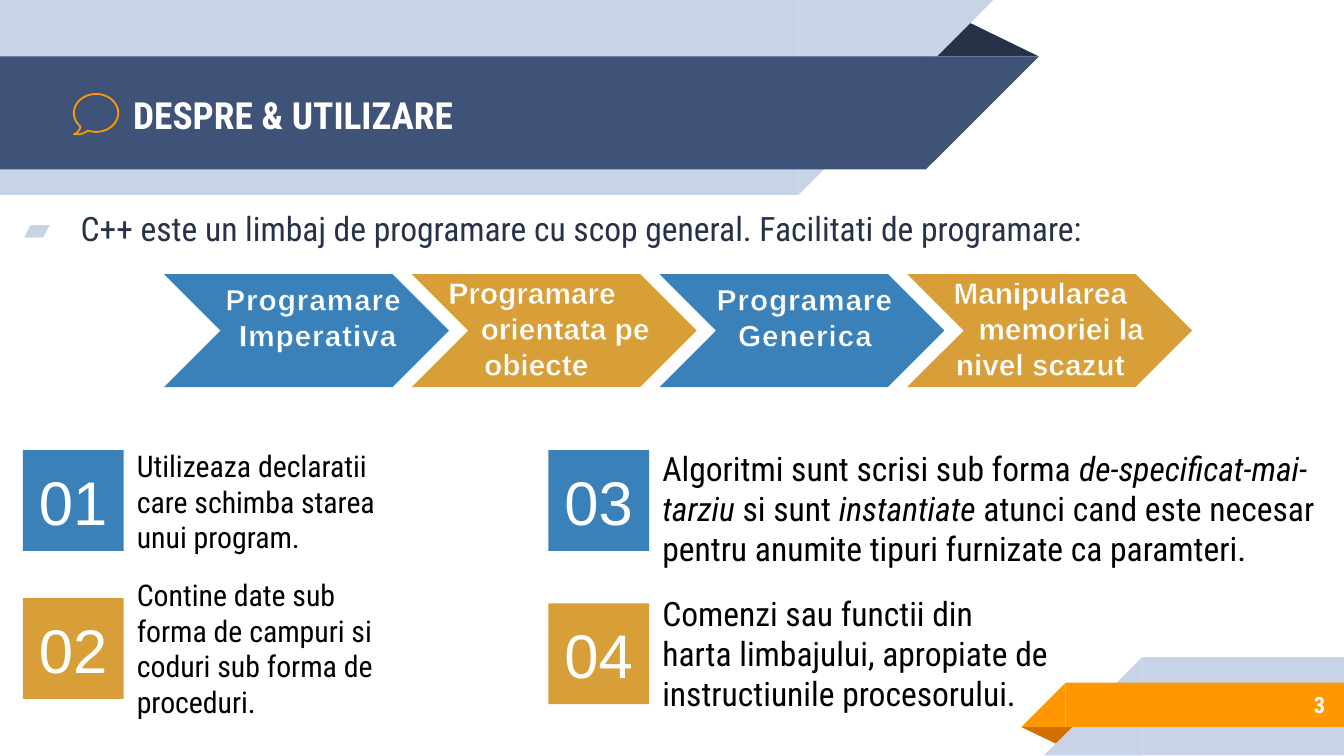
from dataclasses import dataclass
from math import cos, radians, sin

from lxml.etree import SubElement
from pptx import Presentation
from pptx.dml.color import RGBColor
from pptx.enum.shapes import MSO_SHAPE as Kind
from pptx.enum.text import MSO_ANCHOR as Anchor, MSO_AUTO_SIZE as Fit, PP_ALIGN as Align
from pptx.oxml.ns import qn
from pptx.util import Inches, Pt


@dataclass(frozen=True)
class Theme:
    navy: str = "3F5378"
    dark: str = "263248"
    pale: str = "C7D3E6"
    orange: str = "FF9800"
    rust: str = "D26F00"
    blue: str = "3A81BA"
    gold: str = "D89F39"
    white: str = "FFFFFF"
    black: str = "000000"
    sans: str = "Arial"
    slim: str = "Roboto Condensed"
    small: int = 12
    note: int = 16
    body: int = 18
    title: int = 20
    digit: int = 33


T = Theme()


def apply(target, values):
    for name, value in values.items():
        setattr(target, name, value)


def place(shape, left, top, width, height):
    apply(shape, dict(left=Inches(left), top=Inches(top),
                      width=Inches(width), height=Inches(height)))


def draw(slide, kind, box, color, turn=0, flip=False):
    shape = slide.shapes.add_shape(kind, *map(Inches, box))
    shape.shadow.inherit = False
    shape.fill.solid()
    shape.fill.fore_color.rgb = RGBColor.from_string(color)
    shape.line.fill.background()
    shape.rotation = turn
    if flip:
        shape._element.spPr.find(qn("a:xfrm")).set("flipH", "1")
    return shape


def write(shape, lines, color, size, face=T.slim, bold=False, align=Align.LEFT,
          anchor=Anchor.TOP, fit=Fit.NONE, wrap=True, pad=None, before=0):
    """Fill a shape with paragraphs; text between asterisks is italic."""
    frame = shape.text_frame
    apply(frame, dict(word_wrap=wrap, auto_size=fit, vertical_anchor=anchor))
    if pad is not None:
        sides = ("margin_left", "margin_top", "margin_right", "margin_bottom")
        apply(frame, dict.fromkeys(sides, Inches(pad)))
    for index, line in enumerate(lines):
        para = frame.add_paragraph() if index else frame.paragraphs[0]
        apply(para, dict(alignment=align, space_before=Pt(before)))
        for part, text in enumerate(line.split("*")):
            run = para.add_run()
            run.text = text
            apply(run.font, dict(name=face, size=Pt(size), bold=bold, italic=part % 2 == 1))
            run.font.color.rgb = RGBColor.from_string(color)
    return frame


def label(slide, box, lines, color, size, **fmt):
    return write(slide.shapes.add_textbox(*map(Inches, box)), lines, color, size, **fmt)


def raise_top(shape):
    shape._element.getparent().append(shape._element)


def bubble(slide, left, top, width, height):
    """Draw a speech bubble: most of an ellipse, closed by a tail."""
    rx, ry = width / 2, height * 0.47
    arc = [(left + rx * (1 + cos(radians(a))), top + ry * (1 + sin(radians(a))))
           for a in range(135, 474, 6)]
    tail = [(left + width * x, top + height * y)
            for x, y in ((0.22, 0.97), (0.12, 1), (0, 1), (0.07, 0.96), (0.13, 0.88))]
    start, *rest = [(Inches(x), Inches(y)) for x, y in arc + tail]
    pen = slide.shapes.build_freeform(*start)
    pen.add_line_segments(rest, close=True)
    shape = pen.convert_to_shape()
    shape.shadow.inherit = False
    shape.fill.background()
    shape.line.color.rgb = RGBColor.from_string(T.orange)
    shape.line.width = Pt(0.96)


def banner(slide, left, top, width, height):
    draw(slide, Kind.ISOSCELES_TRIANGLE, (left + 6.88, top + 0.14, 0.85, 0.28),
         T.dark).adjustments[0] = 0.324
    for drop, tall, color in ((0, height, T.pale), (0.42, 0.84, T.navy)):
        edge = width - tall if drop == 0 else 6.89
        draw(slide, Kind.RECTANGLE, (left, top + drop, edge, tall), color, 180, True)
        draw(slide, Kind.RIGHT_TRIANGLE, (left + edge, top + drop, tall, tall), color, 180, True)
    title = slide.shapes.title
    place(title, left + 0.89, top + 0.43, 6.01, 0.84)
    write(title, ["DESPRE & UTILIZARE"], T.white, T.title, bold=True,
          anchor=Anchor.MIDDLE, pad=0.1)
    raise_top(title)
    bubble(slide, left + 0.55, top + 0.7, 0.33, 0.3)


def footer(slide, left, top, width, height):
    draw(slide, Kind.ISOSCELES_TRIANGLE, (left, top + 0.52, 0.43, 0.14),
         T.rust, 180).adjustments[0] = 0.324
    for start, drop, tall, color in ((0.17, 0, height, T.pale), (0, 0.19, 0.33, T.orange)):
        edge = start + tall
        draw(slide, Kind.RECTANGLE, (left + edge, top + drop, width - edge, tall),
             color, flip=True)
        draw(slide, Kind.RIGHT_TRIANGLE, (left + start, top + drop, tall, tall),
             color, flip=True)
    label(slide, (left + 0.73, top + 0.18, 1.63, 0.35), ["3"], T.white, T.small,
          bold=True, align=Align.RIGHT, anchor=Anchor.MIDDLE, pad=0.1)


def intro(slide, *box):
    body = slide.placeholders[1]
    place(body, *box)
    frame = write(body, ["C++ este un limbaj de programare cu scop general. "
                         "Facilitati de programare:"], T.dark, T.body, pad=0.1, before=6)
    props = frame.paragraphs[0]._p.get_or_add_pPr()
    props.set("marL", str(Inches(0.5)))
    props.set("indent", str(Inches(-0.42)))
    tint = SubElement(props, qn("a:buClr"))
    SubElement(tint, qn("a:srgbClr")).set("val", T.pale)
    SubElement(props, qn("a:buChar")).set("char", "▰")
    raise_top(body)


def edge_text(frame, color, width, space):
    """Outline the letters and set their spacing."""
    for run in (run for para in frame.paragraphs for run in para.runs):
        props = run.font._element
        if space:
            props.set("spc", str(space))
        line = SubElement(props, qn("a:ln"))
        line.set("w", str(Pt(width)))
        SubElement(SubElement(line, qn("a:solidFill")), qn("a:srgbClr")).set("val", color)
        props.insert(0, line)


def chain(slide, left, top, width, height):
    # text left, text width, lines, first-line indent of the last line
    steps = (
        (0.28, 1.73, ["Programare ", "Imperativa"], 0),
        (1.78, 1.98, ["Programare ", "orientata pe obiecte"], 0.43),
        (3.85, 1.84, ["Programare Generica"], 0),
        (5.53, 1.98, ["Manipularea", "memoriei la nivel scazut"], 0.31),
    )
    long = 2.12
    pitch = (width - long) / (len(steps) - 1)
    colors = (T.blue, T.gold)
    for i in range(len(steps)):
        draw(slide, Kind.CHEVRON, (left + i * pitch, top, long, height), colors[i % 2])
    for i, (shift, wide, lines, indent) in enumerate(steps):
        odd = i % 2
        box = (left + shift, top - 0.05 * odd, wide, 0.91 if odd else 0.64)
        frame = label(slide, box, lines, T.white, T.note, face=T.sans, bold=True,
                      align=Align.CENTER, fit=Fit.SHAPE_TO_FIT_TEXT, wrap=i > 0)
        edge_text(frame, colors[odd], 0.52 if odd else 0.75, 0 if odd else 50)
        if indent:
            props = frame.paragraphs[-1]._p.get_or_add_pPr()
            props.set("marL", "0")
            props.set("indent", str(Inches(indent)))


def item(slide, left, top, width, height, mark, color, text, size, rise):
    """Place a numbered square with its text, which starts higher by rise."""
    side = 0.75
    label(slide, (left + side, top - rise, width - side, height), [text], T.black, size,
          fit=Fit.SHAPE_TO_FIT_TEXT)
    square = draw(slide, Kind.RECTANGLE, (left, top, side, side), color)
    write(square, [mark], T.white, T.digit, face=T.sans, align=Align.CENTER,
          anchor=Anchor.MIDDLE)


def main():
    deck = Presentation()
    apply(deck, dict(slide_width=Inches(10), slide_height=Inches(10 * 9 / 16)))
    slide = deck.slides.add_slide(deck.slide_layouts[1])
    banner(slide, 0, 0, 7.39, 1.45)
    footer(slide, 7.6, 4.89, 2.4, 0.73)
    intro(slide, 0, 1.45, 10, 0.53)
    chain(slide, 1.22, 2.04, 7.65, 0.84)
    items = (
        (0.17, 3.35, 2.95, 0.91, "01", T.blue,
         "Utilizeaza declaratii care schimba starea unui program.", T.note, 0.07),
        (0.17, 4.45, 2.72, 1.18, "02", T.gold,
         "Contine date sub forma de campuri si coduri sub forma de proceduri.", T.note, 0.21),
        (4.08, 3.35, 5.92, 1.01, "03", T.blue,
         "Algoritmi sunt scrisi sub forma *de-specificat-mai-tarziu *si sunt *instantiate "
         "*atunci cand este necesar pentru anumite tipuri furnizate ca paramteri.",
         T.body, 0.07),
        (4.08, 4.49, 3.82, 1.01, "04", T.gold,
         "Comenzi sau functii din harta limbajului, apropiate de instructiunile "
         "procesorului.", T.body, 0.13),
    )
    for entry in items:
        item(slide, *entry)
    deck.save("out.pptx")


if __name__ == "__main__":
    main()
